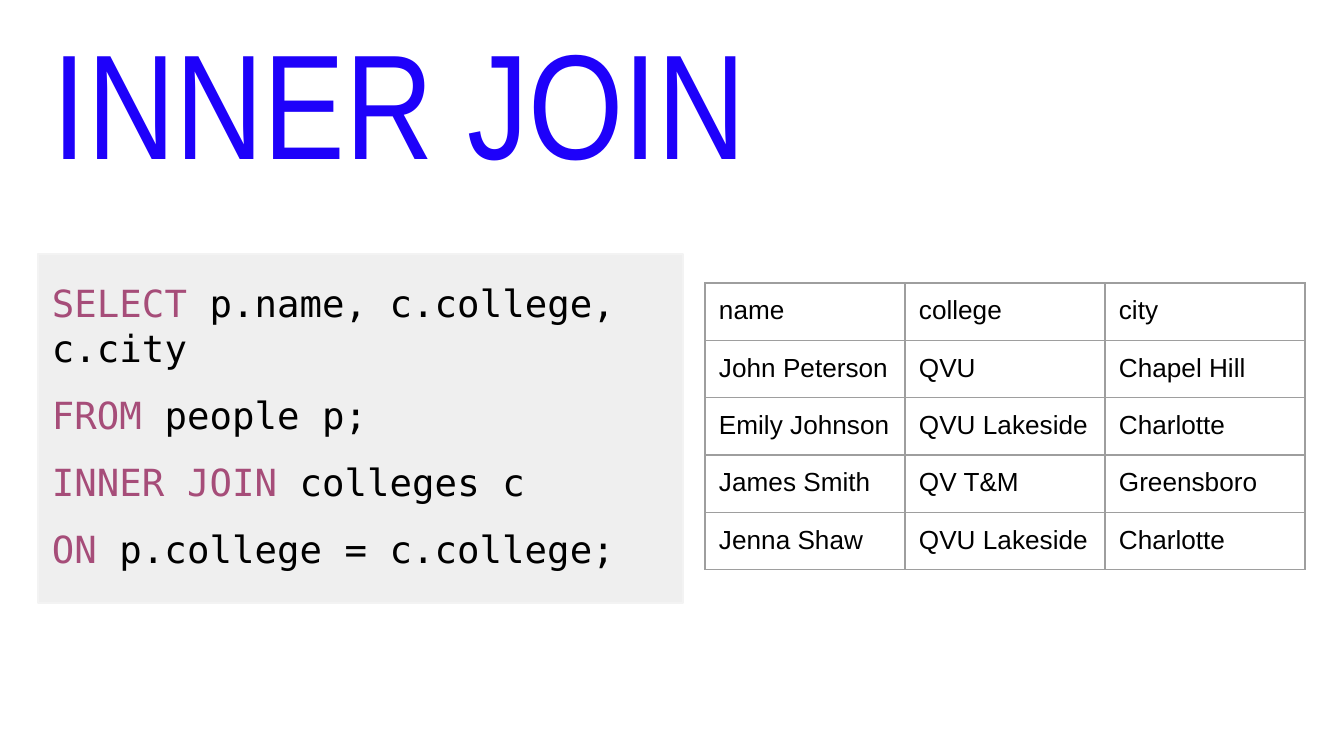
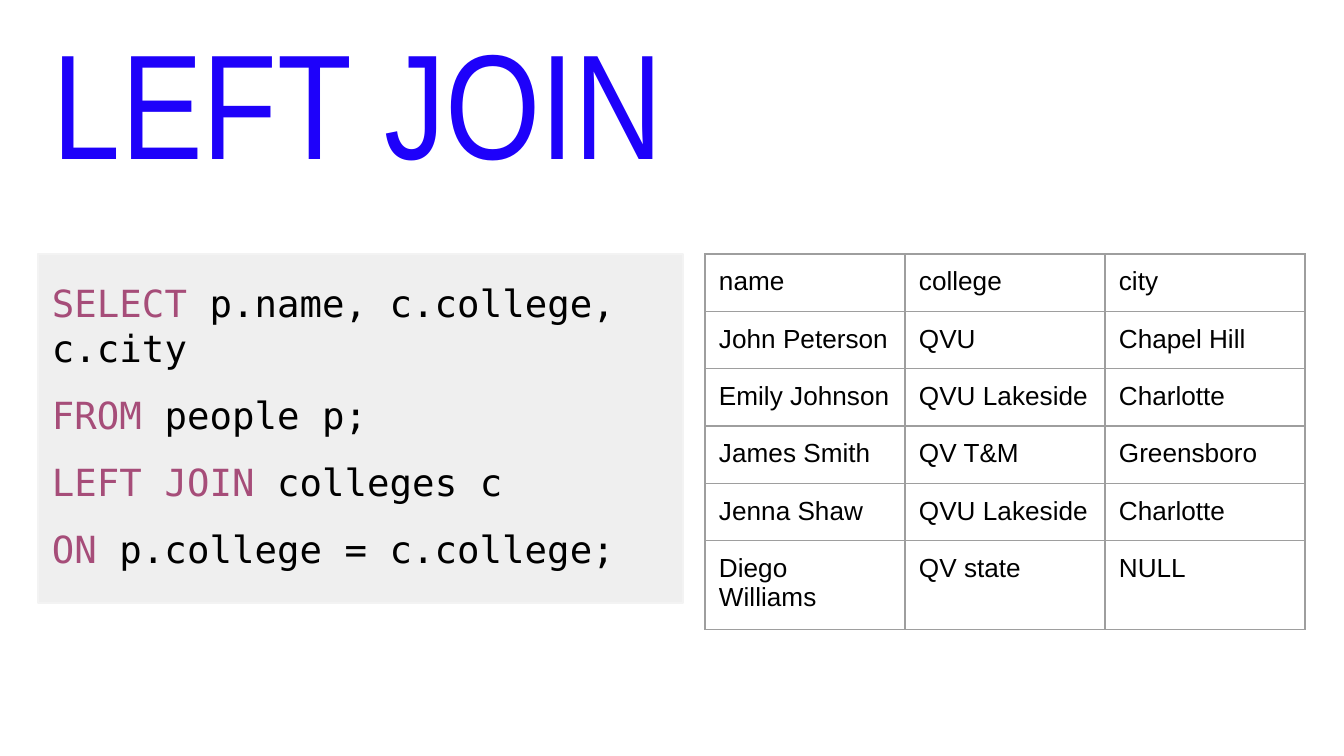
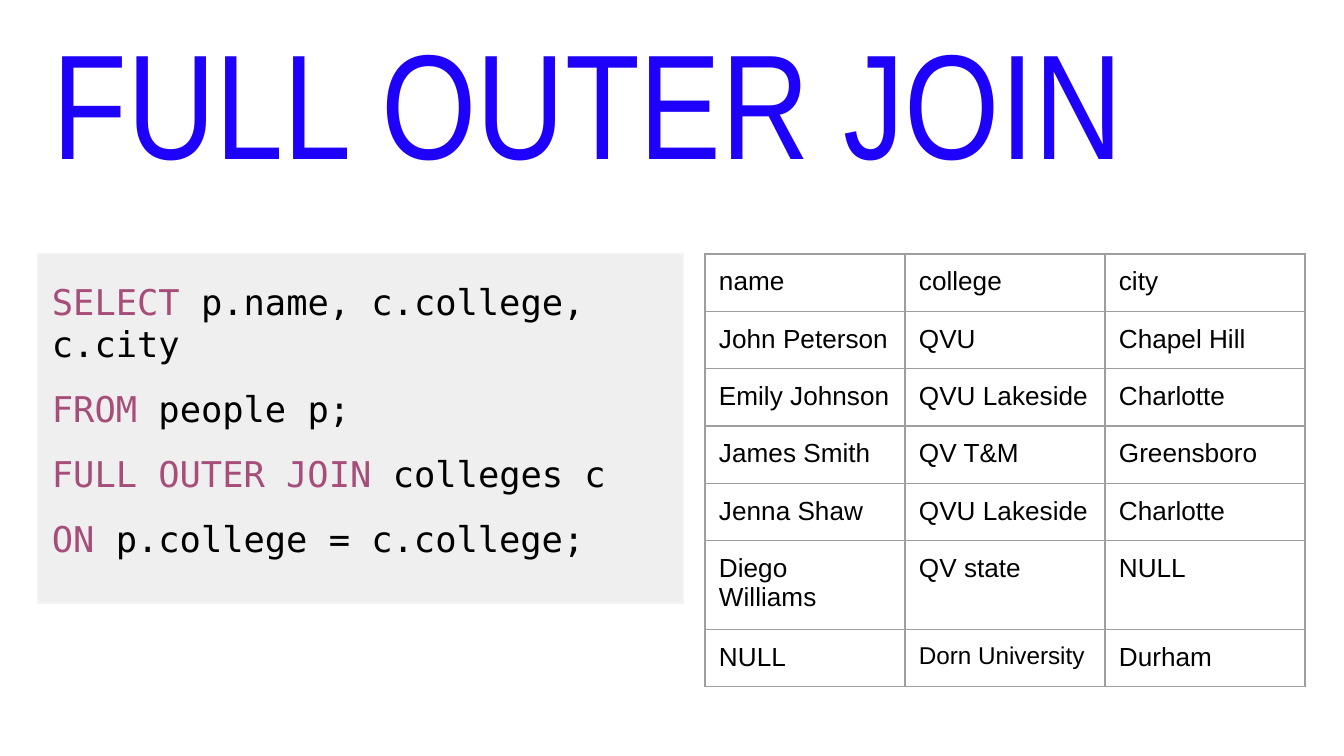
from lxml.etree import SubElement
from pptx import Presentation
from pptx.dml.color import RGBColor
from pptx.enum.shapes import MSO_SHAPE
from pptx.enum.text import MSO_ANCHOR
from pptx.oxml.ns import qn
from pptx.util import Emu, Pt

COLORS = {
    "title": "1E01FA",
    "keyword": "A64D79",
    "text": "000000",
    "panel": "EFEFEF",
    "panel_line": "F3F3F3",
    "border": "9E9E9E",
}
INSET = 14
CELL_INSET = 13
COLUMN_WIDTH = 200
ROW_HEIGHT = 55


def px(value):
    return Emu(round(value * 914400 / 134.4))


def write_text(frame, paragraphs, size, font, space_before=0, line_spacing=None):
    frame.word_wrap = True
    frame.vertical_anchor = MSO_ANCHOR.TOP
    frame.margin_left = frame.margin_right = px(INSET)
    frame.margin_top = frame.margin_bottom = px(INSET)
    for index, runs in enumerate(paragraphs):
        paragraph = frame.paragraphs[0] if index == 0 else frame.add_paragraph()
        paragraph.space_before = Pt(space_before if index else 0)
        if line_spacing:
            paragraph.line_spacing = line_spacing
        for content, color in runs:
            run = paragraph.add_run()
            run.text = content
            run.font.size = Pt(size)
            run.font.name = font
            run.font.color.rgb = RGBColor.from_string(COLORS[color])


matched_rows = [
    ("name", "college", "city"),
    ("John Peterson", "QVU", "Chapel Hill"),
    ("Emily Johnson", "QVU Lakeside", "Charlotte"),
    ("James Smith", "QV T&M", "Greensboro"),
    ("Jenna Shaw", "QVU Lakeside", "Charlotte"),
]
left_rows = matched_rows + [("Diego Williams", "QV state", "NULL")]
outer_rows = left_rows + [("NULL", "Dorn University", "Durham")]
joins = [
    ("INNER JOIN", 20, 283, matched_rows),
    ("LEFT JOIN", 20, 254, left_rows),
    ("FULL OUTER JOIN", 19, 254, outer_rows),
]

presentation = Presentation()
presentation.slide_width = px(1344)
presentation.slide_height = px(756)

for join, code_size, table_top, rows in joins:
    slide = presentation.slides.add_slide(presentation.slide_layouts[6])

    panel = slide.shapes.add_shape(MSO_SHAPE.RECTANGLE, px(38), px(254), px(645), px(349))
    panel.shadow.inherit = False
    panel.fill.solid()
    panel.fill.fore_color.rgb = RGBColor.from_string(COLORS["panel"])
    panel.line.color.rgb = RGBColor.from_string(COLORS["panel_line"])
    panel.line.width = Pt(0.75)

    title = slide.shapes.add_textbox(px(39), px(31), px(1266), px(163))
    write_text(title.text_frame, [[(join, "title")]], size=80, font="Arial Narrow", line_spacing=0.8)

    clauses = [
        ("SELECT", " p.name, c.college, c.city"),
        ("FROM", " people p;"),
        (join, " colleges c"),
        ("ON", " p.college = c.college;"),
    ]
    query = slide.shapes.add_textbox(px(38), px(266), px(645), px(243))
    write_text(
        query.text_frame,
        [[(keyword, "keyword"), (rest, "text")] for keyword, rest in clauses],
        size=code_size,
        font="DejaVu Sans Mono",
        space_before=12,
    )

    table = slide.shapes.add_table(
        len(rows), 3, px(705), px(table_top), px(3 * COLUMN_WIDTH), px(len(rows) * ROW_HEIGHT)
    ).table
    table.first_row = False
    table.horz_banding = False
    for column in table.columns:
        column.width = px(COLUMN_WIDTH)
    for row, values in zip(table.rows, rows):
        row.height = px(ROW_HEIGHT)
        for cell, value in zip(row.cells, values):
            size = 13 if value == "Dorn University" else 14
            write_text(cell.text_frame, [[(value, "text")]], size=size, font="Arial")
            cell.margin_left = cell.margin_right = px(INSET)
            cell.margin_top = cell.margin_bottom = px(CELL_INSET)
            properties = cell._tc.get_or_add_tcPr()
            for side in ("a:lnL", "a:lnR", "a:lnT", "a:lnB"):
                border = SubElement(properties, qn(side), w=str(Pt(0.75)))
                fill = SubElement(border, qn("a:solidFill"))
                SubElement(fill, qn("a:srgbClr"), val=COLORS["border"])
            SubElement(properties, qn("a:noFill"))

presentation.save("out.pptx")
